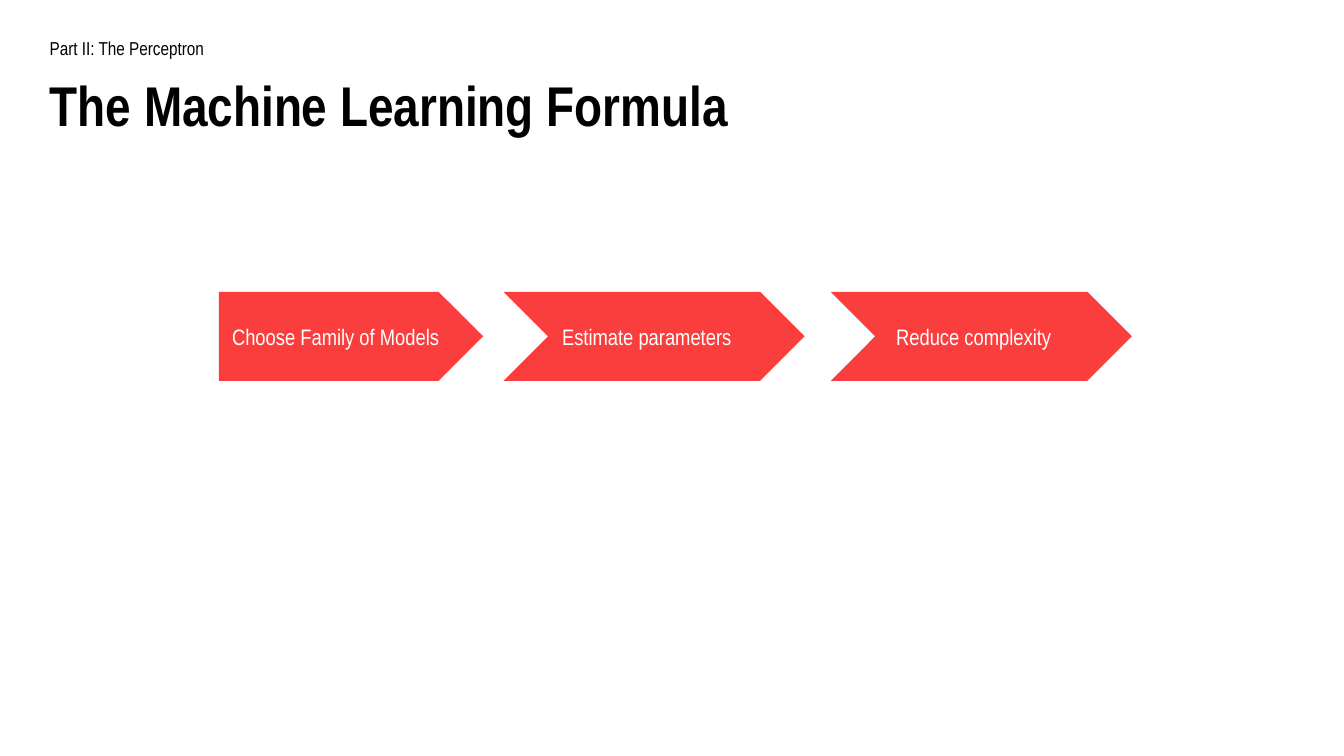
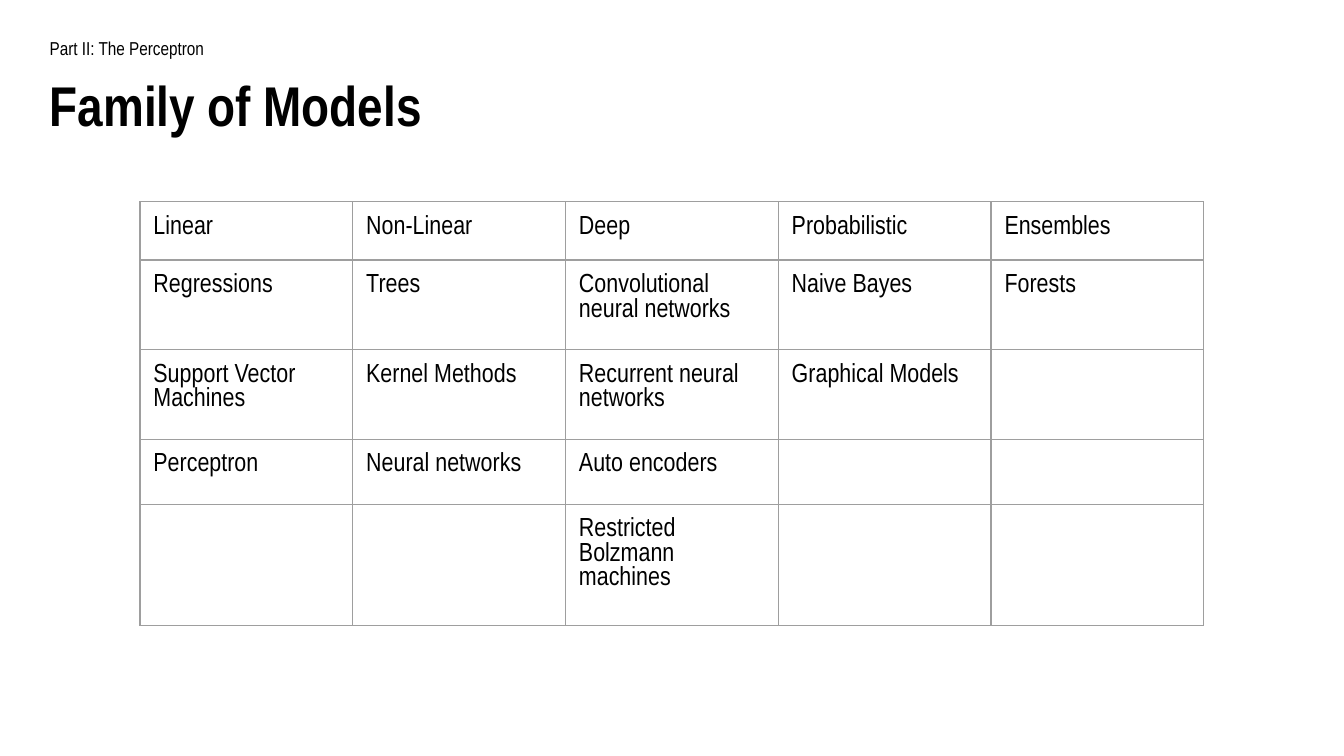
from lxml.etree import SubElement
from pptx import Presentation
from pptx.dml.color import RGBColor
from pptx.enum.shapes import MSO_SHAPE as Shape
from pptx.enum.text import MSO_ANCHOR as Anchor
from pptx.oxml.ns import qn
from pptx.util import Pt

FONT = "Arial Narrow"
COLORS = {"ink": "000000", "arrow": "FA3E3E", "label": "FFFFFF", "grid": "9E9E9E"}
INSET = 7.2

PART = "Part II: The Perceptron"
FORMULA_TITLE = "The Machine Learning Formula"
FAMILY_TITLE = "Family of Models"

# Step text, arrow shape, arrow left, arrow width, label left
STEPS = [
    ("Choose Family of Models", Shape.PENTAGON, 117.2, 141.6, 117.2),
    ("Estimate parameters", Shape.CHEVRON, 269.8, 161.3, 294),
    ("Reduce complexity", Shape.CHEVRON, 445.1, 161.3, 473),
]
STEP_TOP, STEP_HEIGHT = 156.4, 47.6
LABEL_WIDTH, LABEL_HEIGHT = 178, 24.4

FAMILIES = {
    "Linear": ["Regressions", "Support Vector Machines", "Perceptron"],
    "Non-Linear": ["Trees", "Kernel Methods", "Neural networks"],
    "Deep": ["Convolutional neural networks", "Recurrent neural networks",
             "Auto encoders", "Restricted Bolzmann machines"],
    "Probabilistic": ["Naive Bayes", "Graphical Models"],
    "Ensembles": ["Forests"],
}
TABLE_LEFT, TABLE_TOP, COLUMN_WIDTH = 75, 108, 114
ROW_HEIGHTS = [30.2, 40.6, 40.6, 34.8, 53.8]


def color(name):
    return RGBColor.from_string(COLORS[name])


def write(frame, text, size, ink="ink", bold=False):
    span = frame.paragraphs[0].add_run()
    span.text = text
    span.font.name = FONT
    span.font.size = Pt(size)
    span.font.bold = bold
    span.font.color.rgb = color(ink)


def set_margins(target):
    """Give a text frame or a table cell the same inset on all sides."""
    target.margin_left = target.margin_right = Pt(INSET)
    target.margin_top = target.margin_bottom = Pt(INSET)


def add_text(page, text, left, top, width, height, size,
             ink="ink", bold=False, anchor=Anchor.MIDDLE):
    box = page.shapes.add_textbox(Pt(left), Pt(top), Pt(width), Pt(height))
    frame = box.text_frame
    frame.word_wrap = True
    frame.vertical_anchor = anchor
    set_margins(frame)
    write(frame, text, size, ink, bold)


def add_page(deck, title, title_width):
    page = deck.slides.add_slide(deck.slide_layouts[6])
    add_text(page, PART, 19.6, 13.8, 210, 25, 10, anchor=Anchor.TOP)
    add_text(page, title, 19.6, 31.2, title_width, 49, 30, bold=True)
    return page


def add_step(page, text, kind, left, width, label_left):
    arrow = page.shapes.add_shape(kind, Pt(left), Pt(STEP_TOP), Pt(width), Pt(STEP_HEIGHT))
    arrow.adjustments[0] = 0.5
    arrow.shadow.inherit = False
    arrow.fill.solid()
    arrow.fill.fore_color.rgb = color("arrow")
    arrow.line.fill.background()
    label_top = STEP_TOP + (STEP_HEIGHT - LABEL_HEIGHT) / 2
    add_text(page, text, label_left, label_top, LABEL_WIDTH, LABEL_HEIGHT, 12, "label")


def add_borders(cell):
    properties = cell._tc.get_or_add_tcPr()
    for side in ("a:lnL", "a:lnR", "a:lnT", "a:lnB"):
        line = SubElement(properties, qn(side), w=str(Pt(0.75)))
        fill = SubElement(line, qn("a:solidFill"))
        SubElement(fill, qn("a:srgbClr"), val=COLORS["grid"])


def add_family_table(page):
    table = page.shapes.add_table(
        len(ROW_HEIGHTS), len(FAMILIES), Pt(TABLE_LEFT), Pt(TABLE_TOP),
        Pt(COLUMN_WIDTH * len(FAMILIES)), Pt(sum(ROW_HEIGHTS))).table
    table.first_row = table.horz_banding = False
    for row, height in zip(table.rows, ROW_HEIGHTS):
        row.height = Pt(height)
    for column, (family, models) in enumerate(FAMILIES.items()):
        table.columns[column].width = Pt(COLUMN_WIDTH)
        entries = [family, *models]
        for row in range(len(ROW_HEIGHTS)):
            cell = table.cell(row, column)
            add_borders(cell)
            cell.fill.background()
            if row < len(entries):
                set_margins(cell)
                write(cell.text_frame, entries[row], 14)


def main():
    deck = Presentation()
    deck.slide_width, deck.slide_height = Pt(720), Pt(405)
    formula = add_page(deck, FORMULA_TITLE, 587)
    for step in STEPS:
        add_step(formula, *step)
    add_family_table(add_page(deck, FAMILY_TITLE, 263.5))
    deck.save("out.pptx")


if __name__ == "__main__":
    main()
